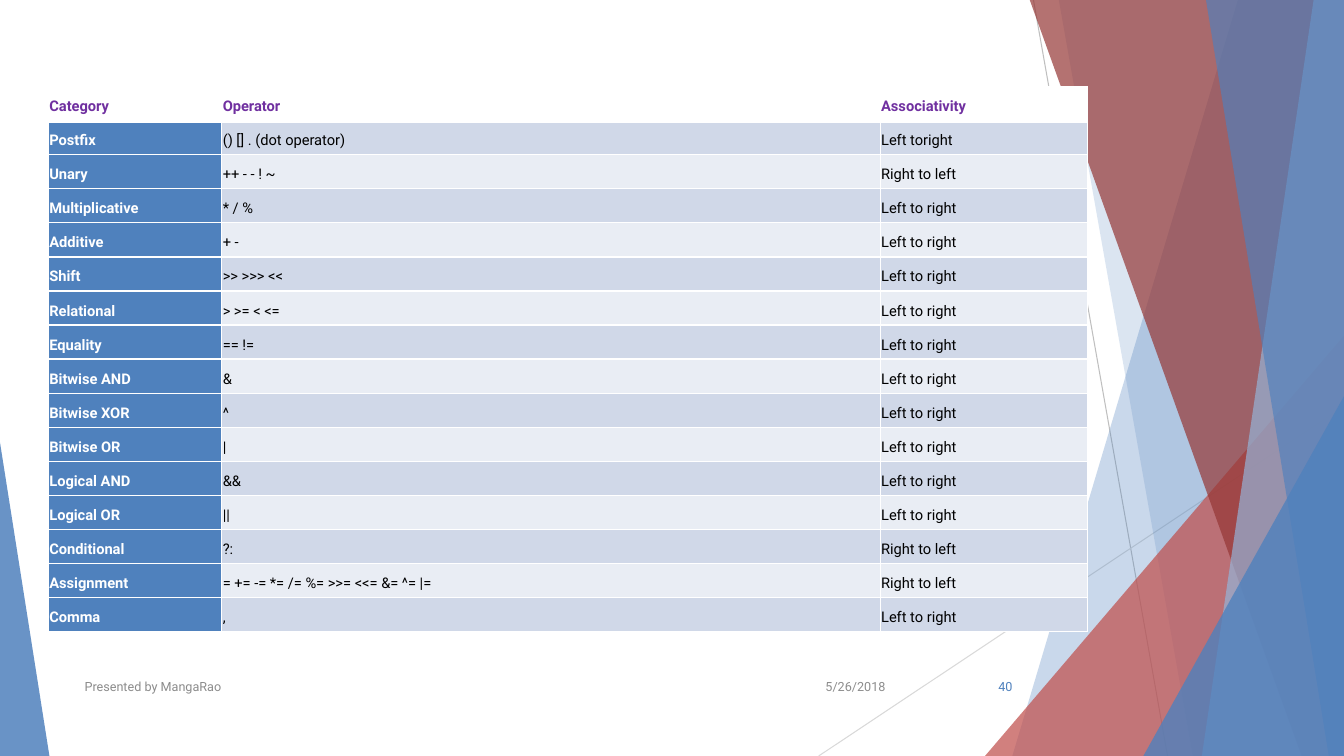
import dataclasses

import lxml.etree
import pptx
import pptx.dml.color
import pptx.enum.shapes
import pptx.enum.text
import pptx.oxml
import pptx.oxml.ns
import pptx.util

Inches = pptx.util.Inches
Pt = pptx.util.Pt
qn = pptx.oxml.ns.qn
ALIGN = pptx.enum.text.PP_ALIGN
MIDDLE = pptx.enum.text.MSO_ANCHOR.MIDDLE


@dataclasses.dataclass(frozen=True)
class Theme:
    font: str = "Roboto"
    blue: str = "4F81BD"
    light_blue: str = "95B3D7"
    red: str = "C0504D"
    dark_red: str = "953735"
    purple: str = "7030A0"
    white: str = "FFFFFF"
    black: str = "000000"
    gray: str = "8C8C8C"
    dark_rule: str = "BFBFBF"
    light_rule: str = "D9D9D9"
    bands: tuple = ("E9EDF4", "D0D8E8")
    table_size: float = 10.5
    footer_size: float = 9


WIDTH, HEIGHT = 13.33, 7.5
TOP = -0.01
COLUMN_WIDTHS = (1.72, 6.53, 2.06)
LEFT_TO_RIGHT, RIGHT_TO_LEFT = "Left to right", "Right to left"
OPERATORS = [
    ("Category", "Operator", "Associativity"),
    ("Postfix", "() [] . (dot operator)", "Left toright"),
    ("Unary", "++ - - ! ~", RIGHT_TO_LEFT),
    ("Multiplicative", "* / %", LEFT_TO_RIGHT),
    ("Additive", "+ -", LEFT_TO_RIGHT),
    ("Shift", ">> >>> <<", LEFT_TO_RIGHT),
    ("Relational", "> >= < <=", LEFT_TO_RIGHT),
    ("Equality", "== !=", LEFT_TO_RIGHT),
    ("Bitwise AND", "&", LEFT_TO_RIGHT),
    ("Bitwise XOR", "^", LEFT_TO_RIGHT),
    ("Bitwise OR", "|", LEFT_TO_RIGHT),
    ("Logical AND", "&&", LEFT_TO_RIGHT),
    ("Logical OR", "||", LEFT_TO_RIGHT),
    ("Conditional", "?:", RIGHT_TO_LEFT),
    ("Assignment", "= += -= *= /= %= >>= <<= &= ^= |=", RIGHT_TO_LEFT),
    ("Comma", ",", LEFT_TO_RIGHT),
]


def rgb(color):
    return pptx.dml.color.RGBColor.from_string(color)


def set_all(target, values):
    for name, value in values.items():
        setattr(target, name, value)


class SlideBuilder:
    def __init__(self, slide, theme):
        self.slide = slide
        self.theme = theme

    def line(self, start, end, color):
        cx = self.slide.shapes.add_connector(
            pptx.enum.shapes.MSO_CONNECTOR.STRAIGHT,
            *(Inches(v) for v in (*start, *end)))
        cx.line.color.rgb = rgb(color)
        cx.line.width = Pt(0.75)
        lxml.etree.SubElement(cx.element.spPr, qn("a:effectLst"))

    def paint(self, sp, color, opacity):
        """Fill a shape with a translucent colour, without outline or shadow."""
        sp.shadow.inherit = False
        sp.line.fill.background()
        sp.fill.solid()
        sp.fill.fore_color.rgb = rgb(color)
        clr = sp.element.spPr.find(".//" + qn("a:srgbClr"))
        lxml.etree.SubElement(clr, qn("a:alpha"), val=str(opacity * 1000))

    def shard(self, top_x, bottom_x, color, opacity):
        """Full-height panel from a slanted left edge to the slide's right side."""
        points = [(top_x, TOP), (WIDTH, TOP), (WIDTH, HEIGHT), (bottom_x, HEIGHT)]
        points = [(Inches(x), Inches(y)) for x, y in points]
        fb = self.slide.shapes.build_freeform(*points[0], scale=1.0)
        fb.add_line_segments(points[1:], close=True)
        self.paint(fb.convert_to_shape(), color, opacity)

    def triangle(self, left, top, width, apex, color, opacity):
        """Triangle on the slide's bottom edge; apex is 0 (left) to 1 (right)."""
        sp = self.slide.shapes.add_shape(
            pptx.enum.shapes.MSO_SHAPE.ISOSCELES_TRIANGLE,
            Inches(left), Inches(top), Inches(width), Inches(HEIGHT - top))
        sp.adjustments[0] = apex
        self.paint(sp, color, opacity)

    def add_text(self, p, text, size, color, bold=False):
        r = p.add_run()
        r.text = text
        set_all(r.font, {"name": self.theme.font, "size": Pt(size), "bold": bold})
        r.font.color.rgb = rgb(color)

    def footer(self, left, width, text, color, align):
        sp = self.slide.shapes.add_textbox(
            Inches(left), Inches(6.61), Inches(width), Inches(0.4))
        tf = sp.text_frame
        set_all(tf, {"word_wrap": True, "vertical_anchor": MIDDLE})
        p = tf.paragraphs[0]
        p.alignment = align
        self.add_text(p, text, self.theme.footer_size, color)

    def borders(self, cell, widths):
        """Draw white cell borders; widths are points for left, right, top, bottom."""
        tc_pr = cell._tc.get_or_add_tcPr()
        for i, (side, width) in enumerate(zip("LRTB", widths)):
            ln = pptx.oxml.parse_xml(
                f'<a:ln{side} {pptx.oxml.ns.nsdecls("a")} w="{Pt(width)}">'
                f'<a:solidFill><a:srgbClr val="{self.theme.white}"/></a:solidFill>'
                f'</a:ln{side}>')
            tc_pr.insert(i, ln)

    def cell_style(self, row, col):
        """Return the fill, text colour and weight for a cell's place."""
        t = self.theme
        if row == 0:
            return t.white, t.purple, True
        if col == 0:
            return t.blue, t.white, True
        return t.bands[row % 2], t.black, False

    def table(self, left, top, height, widths, rows):
        table = self.slide.shapes.add_table(
            len(rows), len(widths), Inches(left), Inches(top),
            Inches(sum(widths)), Inches(height)).table
        set_all(table, {"first_row": False, "horz_banding": False})
        for column, width in zip(table.columns, widths):
            column.width = Inches(width)
        margins = {f"margin_{side}": Inches(0.01)
                   for side in ("left", "right", "top", "bottom")}
        for i, row in enumerate(rows):
            for j, text in enumerate(row):
                fill, color, bold = self.cell_style(i, j)
                cell = table.cell(i, j)
                set_all(cell, {**margins, "vertical_anchor": MIDDLE})
                cell.fill.solid()
                cell.fill.fore_color.rgb = rgb(fill)
                self.borders(cell, (1, 1, 3 if i == 1 else 1, 3 if i == 0 else 1))
                p = cell.text_frame.paragraphs[0]
                set_all(p, {"line_spacing": Pt(16.5), "space_after": Pt(15)})
                self.add_text(p, text, self.theme.table_size, color, bold)


def main():
    prs = pptx.Presentation()
    set_all(prs, {"slide_width": Inches(WIDTH), "slide_height": Inches(HEIGHT)})
    t = Theme()
    s = SlideBuilder(prs.slides.add_slide(prs.slide_layouts[6]), t)

    s.line((10.25, 0), (11.58, HEIGHT), t.dark_rule)
    s.line((WIDTH, 4.03), (8.12, HEIGHT), t.light_rule)
    s.shard(12.28, 10.04, t.blue, 30)
    s.shard(10.5, 11.83, t.blue, 20)
    s.triangle(9.77, 3.33, 3.56, 1, t.red, 72)
    s.shard(10.21, 12.91, t.dark_red, 70)
    s.shard(13.03, 11.92, t.light_blue, 70)
    s.shard(11.96, 13.18, t.blue, 65)
    s.triangle(11.34, 3.93, 1.99, 1, t.blue, 80)
    s.triangle(0, 4.39, 0.49, 0, t.blue, 85)

    s.table(0.48, 0.86, 5.41, COLUMN_WIDTHS, OPERATORS)

    s.footer(7.88, 1, "5/26/2018", t.gray, ALIGN.RIGHT)
    s.footer(0.74, 6.89, "Presented by MangaRao", t.gray, ALIGN.LEFT)
    s.footer(9.39, 0.75, "40", t.blue, ALIGN.RIGHT)
    prs.save("out.pptx")


if __name__ == "__main__":
    main()
